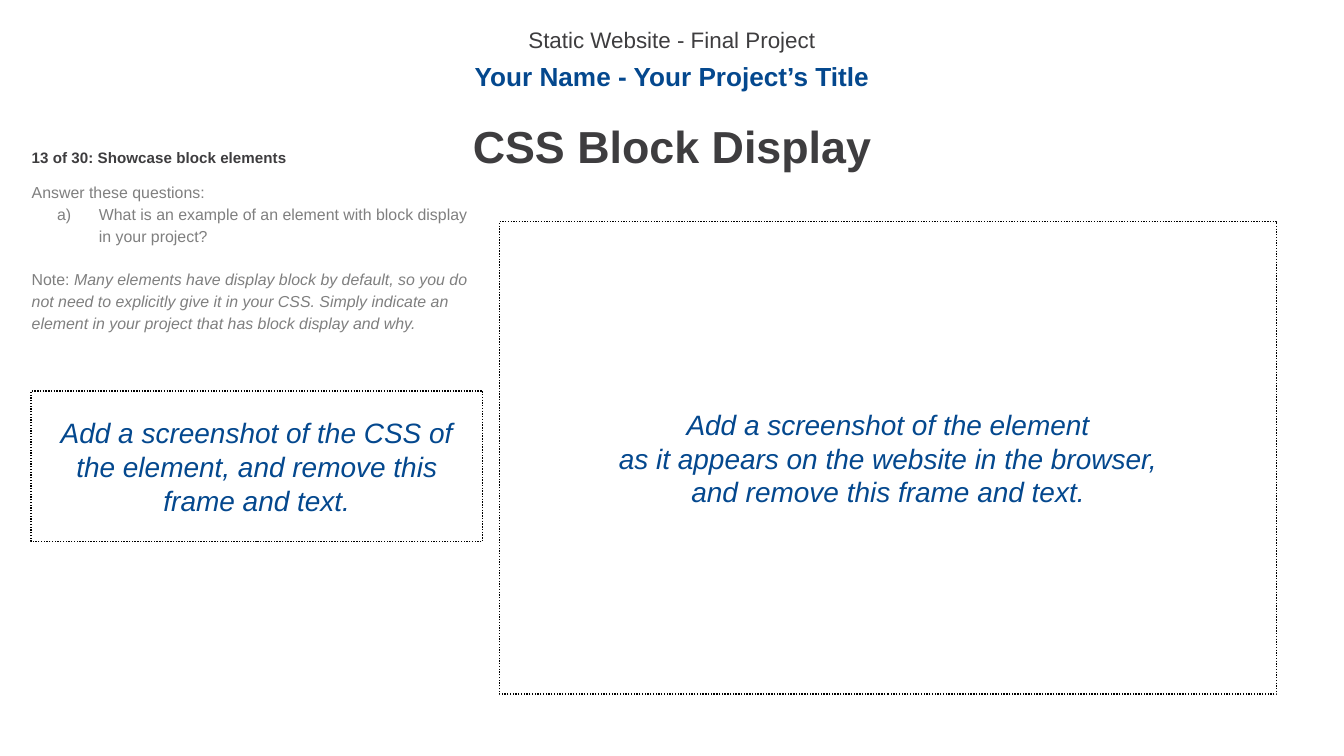
from lxml import etree
from pptx import Presentation
from pptx.dml.color import RGBColor
from pptx.enum.dml import MSO_LINE
from pptx.enum.shapes import MSO_SHAPE
from pptx.enum.text import MSO_ANCHOR, MSO_AUTO_SIZE, PP_ALIGN
from pptx.oxml.ns import qn
from pptx.util import Cm, Pt

COLORS = {
    "blue": "04488E",
    "dark": "3E3D3F",
    "gray": "7F7F7F",
    "black": "000000",
}
FONT = "Arial"
LINE_SPACING = 1.14
TITLE_ONLY = 5
CENTER, LEFT = PP_ALIGN.CENTER, PP_ALIGN.LEFT
TOP, MIDDLE = MSO_ANCHOR.TOP, MSO_ANCHOR.MIDDLE
DOTTED = MSO_LINE.ROUND_DOT
RECTANGLE = MSO_SHAPE.RECTANGLE
NO_AUTOFIT = MSO_AUTO_SIZE.NONE


def place(shape, left, top, width, height):
    shape.left, shape.top = Cm(left), Cm(top)
    shape.width, shape.height = Cm(width), Cm(height)


def prepare_frame(shape, anchor=TOP, inset=0.13):
    frame = shape.text_frame
    frame.word_wrap = True
    frame.auto_size = NO_AUTOFIT
    frame.vertical_anchor = anchor
    frame.margin_left = frame.margin_right = Cm(0.25)
    frame.margin_top = frame.margin_bottom = Cm(inset)
    return frame


def format_paragraph(paragraph, size, color, align=LEFT, bold=False,
                     italic=None, spacing=LINE_SPACING):
    paragraph.alignment = align
    paragraph.line_spacing = spacing
    paragraph.space_before = Pt(0)
    font = paragraph.font
    font.name, font.size = FONT, Pt(size)
    font.bold, font.italic = bold, italic
    font.color.rgb = RGBColor.from_string(COLORS[color])


def add_letter_bullet(paragraph, color):
    properties = paragraph._p.get_or_add_pPr()
    properties.set("marL", str(Cm(1.27)))
    properties.set("indent", str(Cm(-0.79)))
    bullet_color = etree.SubElement(properties, qn("a:buClr"))
    etree.SubElement(bullet_color, qn("a:srgbClr"), val=COLORS[color])
    etree.SubElement(properties, qn("a:buAutoNum"), type="alphaLcParenR")


def add_line(slide, box, text, size, color, **style):
    shape = slide.shapes.add_textbox(0, 0, 0, 0)
    place(shape, *box)
    paragraph = prepare_frame(shape).paragraphs[0]
    paragraph.text = text
    format_paragraph(paragraph, size, color, **style)


def add_heading(slide, left, top, width):
    """Project line, author line and slide title, stacked in one column."""
    add_line(slide, (left, top, width, 0.62),
             "Static Website - Final Project", 12, "dark", align=CENTER)
    add_line(slide, (left, top + 0.63, width, 0.91),
             "Your Name - Your Project’s Title", 14, "blue",
             align=CENTER, bold=True)

    title = slide.shapes.title
    place(title, left, top + 1.68, width, 1.14)
    paragraph = prepare_frame(title).paragraphs[0]
    paragraph.text = "CSS Block Display"
    format_paragraph(paragraph, 24, "dark", align=CENTER, bold=True)


def add_instructions(slide, left, top, width):
    """Step label with the question and the note below it."""
    add_line(slide, (left, top, width, 0.64),
             "13 of 30: Showcase block elements", 8.1, "dark", bold=True)

    shape = slide.shapes.add_textbox(0, 0, 0, 0)
    place(shape, left, top + 0.66, width, 3.73)
    frame = prepare_frame(shape)
    intro = frame.paragraphs[0]
    intro.text = "Answer these questions:"
    question = frame.add_paragraph()
    question.text = ("What is an example of an element with block display "
                     "in your project?")
    add_letter_bullet(question, "gray")
    note = frame.add_paragraph()
    note.add_run().text = "Note: "
    remark = note.add_run()
    remark.text = (
        "Many elements have display block by default, so you do not need to "
        "explicitly give it in your CSS. Simply indicate an element in your "
        "project that has block display and why.")
    remark.font.italic = True
    for paragraph in frame.paragraphs:
        format_paragraph(paragraph, 8.5, "gray")
    note.space_before = Pt(11.7)


def add_screenshot_frame(slide, left, top, width, height, lines):
    """Dotted frame with a centred prompt."""
    shape = slide.shapes.add_shape(RECTANGLE, 0, 0, 0, 0)
    place(shape, left, top, width, height)
    shape.shadow.inherit = False
    shape.fill.background()
    shape.line.color.rgb = RGBColor.from_string(COLORS["black"])
    shape.line.width = Pt(0.75)
    shape.line.dash_style = DOTTED
    frame = prepare_frame(shape, MIDDLE, 0.25)
    frame.text = "\n".join(lines)
    for paragraph in frame.paragraphs:
        format_paragraph(paragraph, 15, "blue", align=CENTER,
                         italic=True, spacing=1.0)


def main():
    presentation = Presentation()
    presentation.slide_width = Cm(25.4)
    presentation.slide_height = Cm(14.29)
    layout = presentation.slide_layouts[TITLE_ONLY]
    slide = presentation.slides.add_slide(layout)

    add_heading(slide, 5.05, 0.3, 15.3)
    add_instructions(slide, 0.35, 2.62, 8.77)
    add_screenshot_frame(slide, 0.59, 7.39, 8.53, 2.85, [
        "Add a screenshot of the CSS of the element, "
        "and remove this frame and text."])
    add_screenshot_frame(slide, 9.44, 4.19, 14.69, 8.93, [
        "Add a screenshot of the element",
        "as it appears on the website in the browser,",
        "and remove this frame and text."])

    presentation.save("out.pptx")


if __name__ == "__main__":
    main()
